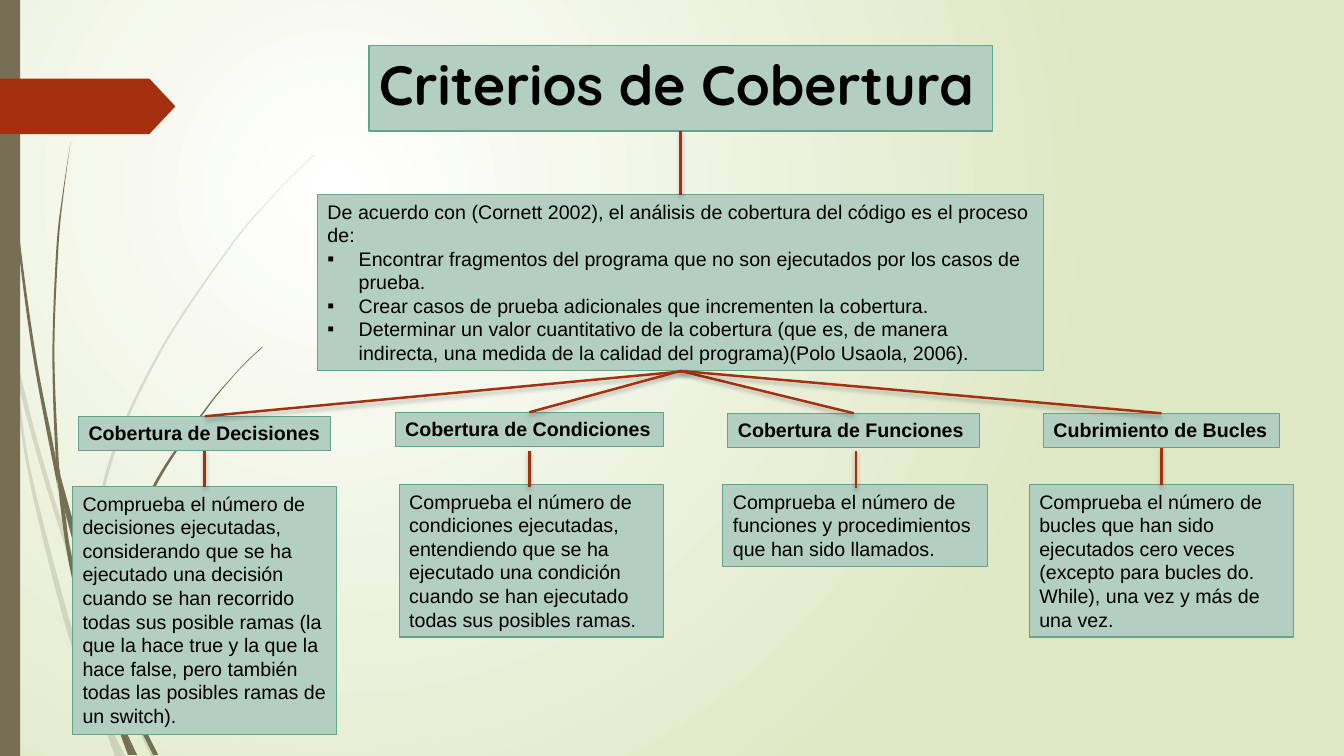
from dataclasses import dataclass

from lxml.etree import SubElement
from pptx import Presentation
from pptx.dml.color import RGBColor as Rgb
from pptx.enum.shapes import MSO_CONNECTOR as Connector, MSO_SHAPE as Preset
from pptx.enum.text import MSO_ANCHOR as Anchor, MSO_AUTO_SIZE as AutoSize, PP_ALIGN as Align
from pptx.oxml.ns import qn
from pptx.util import Inches, Pt


@dataclass(frozen=True)
class Theme:
    glow: str = "FFFFFF"
    meadow: str = "DFE8C4"
    reed: str = "766F54"
    rust: str = "A53010"
    box: str = "B3CFC2"
    border: str = "65A48B"
    ink: str = "000000"
    title_font: str = "Quicksand"
    body_font: str = "Arial"
    title_size: float = 39.6
    body_size: float = 14


THEME = Theme()

# Grid: one-inch cells
COLUMNS, ROWS = 13.33, 7.5
CELL = Inches(1)
BODY_COLUMNS = 2.62
HEADING_ROWS = 0.34
CENTER = 6.75

# Grass blades: two edges each, both running from tip to root
FADED_BLADES = [
    ([(0, 2.82), (.09, 3.22), (.11, 3.5)], [(0, 2.99), (.1, 3.44), (.11, 3.5)]),
    ([(.14, 3.45), (.17, 3.76), (.36, 4.49), (.58, 5.22), (.84, 5.99)],
     [(.14, 3.45), (.36, 4.33), (.62, 5.2), (.85, 5.86)]),
    ([(.88, 5.96), (.88, 6.1), (1.23, 6.94), (1.5, 7.5)],
     [(.88, 5.96), (.92, 6.07), (1.27, 6.92), (1.55, 7.5)]),
    ([(1.05, 7.11), (1.19, 7.5)], [(1.05, 7.11), (1.24, 7.5)]),
    ([(.11, 3.5), (.28, 4.7), (.65, 6.21), (.92, 6.93), (1.01, 7.14)],
     [(.11, 3.5), (.17, 3.76), (.31, 4.69), (.7, 6.19), (.93, 6.83), (1.01, 7.14)]),
    ([(3.12, 1.53), (2.89, 1.75), (2.68, 1.97), (2.28, 2.44), (1.58, 3.48),
      (1.07, 4.61), (.85, 5.84), (.88, 5.96)],
     [(3.12, 1.54), (2.9, 1.75), (2.68, 1.98), (2.29, 2.45), (1.6, 3.49),
      (1.1, 4.62), (.88, 5.84), (.88, 5.96)]),
    ([(1.01, 7.14), (1.14, 7.5)], [(1.01, 7.14), (1.19, 7.5)]),
    ([(.93, 6.83), (.99, 7.07), (1.01, 7.14), (1.19, 7.5)],
     [(.93, 6.83), (.96, 6.92), (1.05, 7.11), (1.19, 7.5)]),
]
SOLID_BLADES = [
    ([(.03, 0), (.04, .48), (.07, 1.1), (.17, 2.33), (.33, 3.55), (.56, 4.77), (.57, 4.81)],
     [(.04, 0), (.05, .48), (.08, 1.09), (.19, 2.32), (.36, 3.55), (.55, 4.53), (.57, 4.81)]),
    ([(.6, 4.72), (.64, 5.05), (.88, 5.92), (1.06, 6.45)],
     [(.6, 4.72), (.93, 5.9), (1.06, 6.31), (1.06, 6.45)]),
    ([(1.1, 6.41), (1.11, 6.56), (1.32, 7.08), (1.52, 7.49)],
     [(1.1, 6.41), (1.13, 6.49), (1.36, 7.06), (1.57, 7.49)]),
    ([(.57, 4.77), (.68, 5.57), (.93, 6.59), (1.11, 7.08), (1.17, 7.22)],
     [(.57, 4.77), (.64, 5.05), (.72, 5.56), (.98, 6.57), (1.1, 6.91), (1.17, 7.22)]),
    ([(.7, 1.41), (.62, 1.93), (.56, 2.45), (.52, 3.49), (.55, 4.49), (.6, 4.72)],
     [(.7, 1.41), (.63, 1.93), (.58, 2.45), (.54, 3.49), (.58, 4.53), (.6, 4.72)]),
    ([(1.22, 7.19), (1.33, 7.49)], [(1.22, 7.19), (1.36, 7.49)]),
    ([(.55, 4.49), (.57, 4.77), (.64, 5.05)], [(.55, 4.49), (.6, 4.72), (.64, 5.05)]),
    ([(2.6, 3.44), (2.45, 3.58), (2.31, 3.73), (2.04, 4.05), (1.56, 4.74),
      (1.22, 5.51), (1.06, 6.31), (1.1, 6.41)],
     [(2.61, 3.44), (2.45, 3.59), (2.31, 3.74), (2.05, 4.06), (1.58, 4.76),
      (1.25, 5.52), (1.11, 6.33), (1.1, 6.41)]),
    ([(1.17, 7.22), (1.27, 7.49)], [(1.17, 7.22), (1.31, 7.49)]),
    ([(1.1, 6.91), (1.16, 7.17), (1.17, 7.22), (1.3, 7.49)],
     [(1.1, 6.91), (1.16, 7.06), (1.22, 7.19), (1.33, 7.49)]),
]

INTRO = "De acuerdo con (Cornett 2002), el análisis de cobertura del código es el proceso de:"
GOALS = [
    "Encontrar fragmentos del programa que no son ejecutados por los casos de prueba.",
    "Crear casos de prueba adicionales que incrementen la cobertura.",
    "Determinar un valor cuantitativo de la cobertura (que es, de manera indirecta, "
    "una medida de la calidad del programa)(Polo Usaola, 2006).",
]
# Heading, its left, top and width; description, its left, top and height
CRITERIA = [
    ("Cobertura de Decisiones", (.78, 4.13, 2.5),
     "Comprueba el número de decisiones ejecutadas, considerando que se ha ejecutado una "
     "decisión cuando se han recorrido todas sus posible ramas (la que la hace true y la "
     "que la hace false, pero también todas las posibles ramas de un switch).", (.72, 4.83, 2.46)),
    ("Cobertura de Condiciones", (3.92, 4.09, 2.66),
     "Comprueba el número de condiciones ejecutadas, entendiendo que se ha ejecutado una "
     "condición cuando se han ejecutado todas sus posibles ramas.", (3.96, 4.81, 1.51)),
    ("Cobertura de Funciones", (7.22, 4.1, 2.5),
     "Comprueba el número de funciones y procedimientos que han sido llamados.", (7.17, 4.81, .81)),
    ("Cubrimiento de Bucles", (10.35, 4.1, 2.34),
     "Comprueba el número de bucles que han sido ejecutados cero veces (excepto para bucles "
     "do. While), una vez y más de una vez.", (10.21, 4.81, 1.51)),
]
# Branch start and end, then stem column, top and bottom
BRANCHES = [(6.82, 3.68, 2.03, 4.13), (CENTER, 3.68, 5.25, 4.09),
            (CENTER, 3.68, 8.47, 4.1), (CENTER, 3.68, 11.52, 4.1)]
STEMS = [(CENTER, 1.3, 1.93), (2.03, 4.47, 4.83), (11.52, 4.44, 4.81),
         (8.49, 4.47, 4.84), (5.25, 4.47, 4.83)]


def grid(*cells):
    return [round(cell * CELL) for cell in cells]


def paint_background(slide):
    fill = slide.background.fill
    fill.gradient()
    for stop, color in zip(fill.gradient_stops, (THEME.glow, THEME.meadow)):
        stop.color.rgb = Rgb.from_string(color)
    gradient = slide.element.find(".//" + qn("a:gradFill"))
    gradient.remove(gradient.find(qn("a:lin")))
    circle = SubElement(gradient, qn("a:path"), path="circle")
    SubElement(circle, qn("a:fillToRect"), l="50000", t="50000", r="100000", b="100000")


def color_shape(shape, color, border=None):
    shape.shadow.inherit = False
    shape.fill.solid()
    shape.fill.fore_color.rgb = Rgb.from_string(color)
    if border:
        shape.line.color.rgb = Rgb.from_string(border)
        shape.line.width = Pt(.75)
    else:
        shape.line.fill.background()


def curve_points(edge):
    """Two handles and an end for each smooth stretch of an edge."""
    points = [edge[0], *edge, edge[-1]]
    for a, b, c, d in zip(points, points[1:], points[2:], points[3:]):
        yield [q + (r - p) / 6 for p, q, r in zip(a, b, c)]
        yield [r - (s - q) / 6 for q, r, s in zip(b, c, d)]
        yield c


def add_grass(slide, blades, opacity=None):
    tuft = slide.shapes.add_group_shape().shapes
    for left_edge, right_edge in blades:
        way_back = right_edge[::-1]
        root = [left_edge[-1], way_back[0], way_back[0]]
        outline = [*curve_points(left_edge), *root, *curve_points(way_back)]
        builder = tuft.build_freeform(*grid(*left_edge[0]))
        builder.add_line_segments([grid(*point) for point in outline], close=True)
        blade = builder.convert_to_shape()
        # Join every three straight steps into one curve
        steps = list(blade.element.iter(qn("a:lnTo")))
        for trio in zip(steps[::3], steps[1::3], steps[2::3]):
            bend = trio[0].makeelement(qn("a:cubicBezTo"))
            trio[0].addprevious(bend)
            for step in trio:
                bend.append(step[0])
                step.getparent().remove(step)
        color_shape(blade, THEME.reed)
        if opacity:
            tint = blade.element.spPr.find(qn("a:solidFill"))[0]
            SubElement(tint, qn("a:alpha"), val=str(opacity * 1000))


def add_box(slide, area, texts, size=THEME.body_size, font=THEME.body_font, bold=False, grow=True):
    box = slide.shapes.add_shape(Preset.RECTANGLE, *grid(*area))
    color_shape(box, THEME.box, THEME.border)
    frame = box.text_frame
    frame.word_wrap = True
    frame.vertical_anchor = Anchor.TOP
    frame.auto_size = AutoSize.SHAPE_TO_FIT_TEXT if grow else AutoSize.NONE
    for index, text in enumerate(texts):
        line = frame.add_paragraph() if index else frame.paragraphs[0]
        line.text = text
        line.alignment = Align.LEFT
        if index:  # every line after the opening one is a bullet
            layout = line._p.get_or_add_pPr()
            layout.set("marL", str(Inches(.31)))
            layout.set("indent", str(-Inches(.31)))
            SubElement(layout, qn("a:buFont"), typeface=THEME.body_font)
            SubElement(layout, qn("a:buChar"), char="▪")
        line.font.size, line.font.name, line.font.bold = Pt(size), font, bold
        line.font.color.rgb = Rgb.from_string(THEME.ink)


def add_link(slide, *ends):
    link = slide.shapes.add_connector(Connector.STRAIGHT, *grid(*ends))
    link.line.color.rgb = Rgb.from_string(THEME.rust)
    link.line.width = Pt(1.75)
    effects = SubElement(link.element.spPr, qn("a:effectLst"))
    shadow = SubElement(effects, qn("a:outerShdw"), blurRad=str(Pt(3)), dist=str(Pt(2)),
                        dir="5400000", rotWithShape="0")
    SubElement(SubElement(shadow, qn("a:srgbClr"), val=THEME.ink), qn("a:alpha"), val="25000")


def main():
    deck = Presentation()
    deck.slide_width, deck.slide_height = grid(COLUMNS, ROWS)
    slide = deck.slides.add_slide(deck.slide_layouts[6])

    # Backdrop
    paint_background(slide)
    add_grass(slide, FADED_BLADES, opacity=20)
    add_grass(slide, SOLID_BLADES)
    color_shape(slide.shapes.add_shape(Preset.RECTANGLE, *grid(0, 0, .2, ROWS)), THEME.reed)
    marker = slide.shapes.add_shape(Preset.PENTAGON, *grid(0, .78, 1.74, .55))
    marker.adjustments[0] = .47
    color_shape(marker, THEME.rust)

    # Title and definition
    add_box(slide, (3.66, .45, 6.18, .85), ["Criterios de Cobertura"],
            THEME.title_size, THEME.title_font, bold=True, grow=False)
    add_box(slide, (3.15, 1.93, 7.2, 1.75), [INTRO, *GOALS])

    # Criteria: headings, then descriptions
    for heading, area, _, _ in CRITERIA:
        add_box(slide, (*area, HEADING_ROWS), [heading], bold=True)
    for _, _, description, (left, top, height) in CRITERIA:
        add_box(slide, (left, top, BODY_COLUMNS, height), [description])

    # Links of the tree
    for branch in BRANCHES:
        add_link(slide, *branch)
    for column, top, bottom in STEMS:
        add_link(slide, column, top, column, bottom)

    deck.save("out.pptx")


if __name__ == "__main__":
    main()
